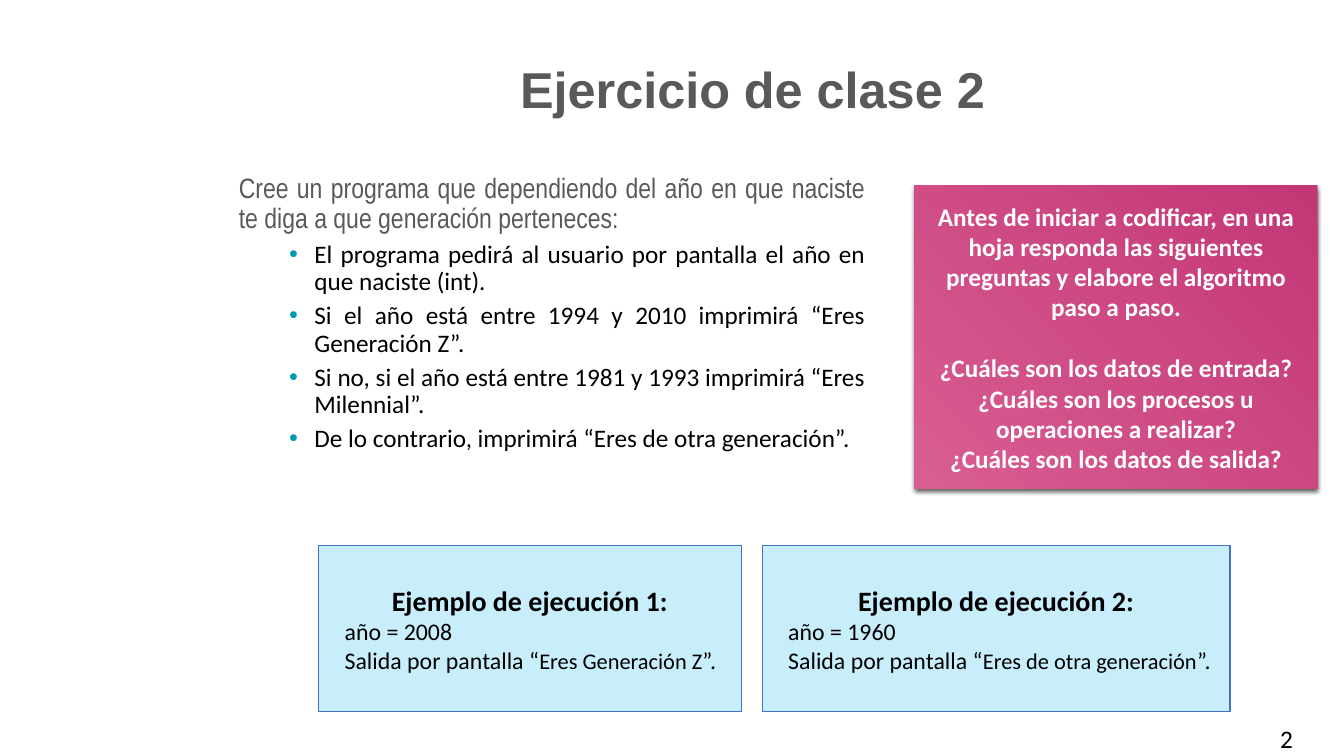
from lxml import etree
from pptx import Presentation
from pptx.dml.color import RGBColor
from pptx.enum.shapes import MSO_SHAPE
from pptx.enum.text import MSO_ANCHOR, PP_ALIGN
from pptx.oxml.ns import qn
from pptx.util import Inches, Pt

RECTANGLE = MSO_SHAPE.RECTANGLE
TOP, MIDDLE = MSO_ANCHOR.TOP, MSO_ANCHOR.MIDDLE
LEFT, CENTER = PP_ALIGN.LEFT, PP_ALIGN.CENTER
RIGHT, JUSTIFY = PP_ALIGN.RIGHT, PP_ALIGN.JUSTIFY

SLIDE_WIDTH, SLIDE_HEIGHT = Inches(13.33), Inches(7.5)
COLUMNS, ROWS = 133.3, 75
BLACK, WHITE, GRAY = "000000", "FFFFFF", "595959"
TEAL, SKY, BLUE = "009BAF", "00B0F0", "4472C4"
PINK, MAGENTA = "D95D91", "C33776"


def color(value):
    return RGBColor.from_string(value)


def add_element(parent, tag, **attributes):
    element = etree.SubElement(parent, qn(tag))
    for name, value in attributes.items():
        element.set(name, str(value))
    return element


class SlideBuilder:
    """Holds the slide, its grid and its default text style."""

    text_style = {"name": "Calibri", "size": Pt(18), "bold": False}

    def __init__(self, presentation):
        self.slide = presentation.slides.add_slide(presentation.slide_layouts[6])

    def place(self, column, row, columns, rows):
        across, down = SLIDE_WIDTH / COLUMNS, SLIDE_HEIGHT / ROWS
        return [round(length) for length in
                (column * across, row * down, columns * across, rows * down)]

    def text_box(self, area, anchor=TOP):
        shape = self.slide.shapes.add_textbox(*self.place(*area))
        return self.prepare(shape, anchor)

    def rectangle(self, area):
        shape = self.slide.shapes.add_shape(RECTANGLE, *self.place(*area))
        shape.shadow.inherit = False
        return self.prepare(shape, MIDDLE)

    def prepare(self, shape, anchor):
        shape.text_frame.word_wrap = True
        shape.text_frame.vertical_anchor = anchor
        return shape

    def paragraph(self, shape, runs, ink=BLACK, bullet=None, indent=0, hanging=0,
                  style=None, **layout):
        """Fill the first paragraph, or add one; runs are (text, style) pairs."""
        frame = shape.text_frame
        is_first = len(frame.paragraphs) == 1 and not frame.paragraphs[0].runs
        paragraph = frame.paragraphs[0] if is_first else frame.add_paragraph()
        properties = paragraph._p.get_or_add_pPr()
        properties.set("marL", str(Inches(indent)))
        properties.set("indent", str(-Inches(hanging)))
        if bullet:
            bullet_color = add_element(properties, "a:buClr")
            add_element(bullet_color, "a:srgbClr", val=TEAL)
            add_element(properties, "a:buFont", typeface="Arial")
            add_element(properties, "a:buChar", char=bullet)
        for name, value in layout.items():
            setattr(paragraph, name, value)
        for text, run_style in runs:
            run = paragraph.add_run()
            run.text = text
            run.font.color.rgb = color(ink)
            for name, value in {**self.text_style, **(style or {}), **run_style}.items():
                setattr(run.font, name, value)

    def example(self, area, heading, year, output):
        shape = self.rectangle(area)
        shape.fill.solid()
        shape.fill.fore_color.rgb = color(SKY)
        fill_color = shape._element.spPr.find(qn("a:solidFill"))[0]
        add_element(fill_color, "a:alpha", val=21000)
        shape.line.color.rgb = color(BLUE)
        shape.line.width = Pt(0.75)
        detail = {"style": {"size": Pt(17)}, "indent": 0.16, "alignment": LEFT}
        self.paragraph(shape, [(heading, {"size": Pt(20), "bold": True})], alignment=CENTER)
        self.paragraph(shape, [(f"año = {year}", {})], **detail)
        self.paragraph(shape, [("Salida por pantalla “", {}), (output, {"size": Pt(16)}),
                               ("”.", {})], **detail)

    def callout(self, area, lines):
        shape = self.rectangle(area)
        shape.line.fill.background()
        # Radial gradient that starts in the lower left corner
        shape.fill.gradient()
        for stop, value in zip(shape.fill.gradient_stops, (PINK, MAGENTA)):
            stop.color.rgb = color(value)
        gradient = shape._element.spPr.find(qn("a:gradFill"))
        gradient.remove(gradient.find(qn("a:lin")))
        circle = add_element(gradient, "a:path", path="circle")
        add_element(circle, "a:fillToRect", t=100000, r=100000)
        # Soft shadow below
        effects = shape._element.spPr.find(qn("a:effectLst"))
        shadow = add_element(effects, "a:outerShdw", blurRad=Pt(3), dist=Pt(2),
                             dir=5400000, algn="ctr", rotWithShape=0)
        add_element(add_element(shadow, "a:srgbClr", val=BLACK), "a:alpha", val=64000)
        for line, space in lines:
            self.paragraph(shape, [(line, {"bold": True})], WHITE,
                           alignment=CENTER, space_before=Pt(space))


def main():
    presentation = Presentation()
    presentation.slide_width, presentation.slide_height = SLIDE_WIDTH, SLIDE_HEIGHT
    builder = SlideBuilder(presentation)

    # Title and page number
    title = builder.text_box((23.4, 4.5, 102.5, 9.2), MIDDLE)
    builder.paragraph(title, [("Ejercicio de clase 2",
                               {"name": "Arial", "size": Pt(36), "bold": True})],
                      GRAY, alignment=CENTER, line_spacing=0.9)
    page_number = builder.text_box((124, 71.3, 5.2, 3.4))
    builder.paragraph(page_number, [("2", {})], alignment=RIGHT)

    # Examples, side by side
    column, gap = 31.6, 2.1
    examples = [(41.9, 2008, "Eres Generación Z"), (46.4, 1960, "Eres de otra generación")]
    for number, (columns, year, output) in enumerate(examples, 1):
        builder.example((column, 54.1, columns, 16.5),
                        f"Ejemplo de ejecución {number}:", year, output)
        column += columns + gap

    # Questions to answer first
    builder.callout((90.7, 18.4, 40, 30.1), [
        ("Antes de iniciar a codificar, en una hoja responda las siguientes "
         "preguntas y elabore el algoritmo paso a paso.", 0),
        ("¿Cuáles son los datos de entrada?", 22),
        ("¿Cuáles son los procesos u operaciones a realizar?", 0),
        ("¿Cuáles son los datos de salida?", 0),
    ])

    # Task and its rules
    task = builder.text_box((22.7, 16.8, 64.1, 49.7))
    builder.paragraph(task, [("Cree un programa que dependiendo del año en que naciste "
                              "te diga a que generación perteneces:",
                              {"name": "Arial Narrow", "size": Pt(20)})],
                      GRAY, alignment=JUSTIFY, line_spacing=0.9)
    for rule in (
        "El programa pedirá al usuario por pantalla el año en que naciste (int).",
        "Si el año está entre 1994 y 2010 imprimirá “Eres Generación Z”.",
        "Si no, si el año está entre 1981 y 1993 imprimirá “Eres Milennial”.",
        "De lo contrario, imprimirá “Eres de otra generación”.",
    ):
        builder.paragraph(task, [(rule, {})], bullet="•", indent=0.75, hanging=0.25, level=1,
                          alignment=JUSTIFY, line_spacing=0.9, space_before=Pt(5))

    presentation.save("out.pptx")


if __name__ == "__main__":
    main()
